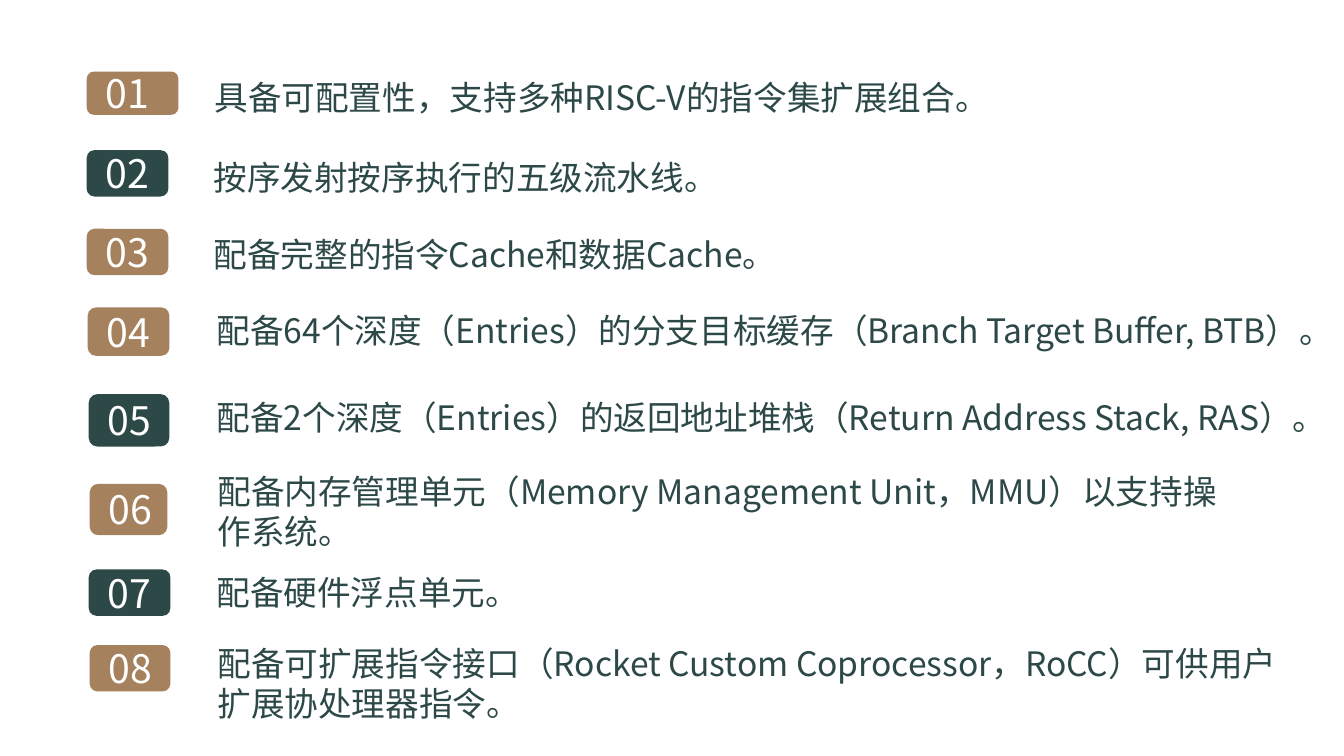
from dataclasses import dataclass

from pptx import Presentation
from pptx.dml.color import RGBColor
from pptx.enum import shapes, text
from pptx.oxml import ns
from pptx.util import Inches, Pt


@dataclass(frozen=True)
class Theme:
    green: RGBColor = RGBColor(0x2C, 0x49, 0x47)
    brown: RGBColor = RGBColor(0xA6, 0x81, 0x5D)
    white: RGBColor = RGBColor(0xFF, 0xFF, 0xFF)
    number_font: str = "Noto Sans CJK TC"
    feature_font: str = "Noto Sans CJK SC"
    number_size: int = 28
    feature_size: int = 24


THEME = Theme()

# Badge box, badge colour, feature box (left, top, width, height), feature text
FEATURES = [
    ((0.86, 0.71, 0.91, 0.43), THEME.brown, (2.03, 0.71, 7.7, 0.5),
     "具备可配置性，支持多种RISC-V的指令集扩展组合。"),
    ((0.86, 1.49, 0.81, 0.46), THEME.green, (2.02, 1.51, 7.67, 0.5),
     "按序发射按序执行的五级流水线。"),
    ((0.86, 2.27, 0.81, 0.46), THEME.brown, (2.02, 2.27, 7.85, 0.5),
     "配备完整的指令Cache和数据Cache。"),
    ((0.87, 3.05, 0.81, 0.48), THEME.brown, (2.05, 3.03, 11.13, 0.5),
     "配备64个深度（Entries）的分支目标缓存（Branch Target Buffer, BTB）。"),
    ((0.88, 3.91, 0.8, 0.52), THEME.green, (2.05, 3.89, 11.13, 0.5),
     "配备2个深度（Entries）的返回地址堆栈（Return Address Stack, RAS）。"),
    ((0.89, 4.8, 0.77, 0.51), THEME.brown, (2.06, 4.62, 10.3, 0.91),
     "配备内存管理单元（Memory Management Unit，MMU）以支持操作系统。"),
    ((0.88, 5.65, 0.81, 0.46), THEME.green, (2.05, 5.62, 7.84, 0.5),
     "配备硬件浮点单元。"),
    ((0.89, 6.4, 0.8, 0.46), THEME.brown, (2.06, 6.33, 10.83, 0.91),
     "配备可扩展指令接口（Rocket Custom Coprocessor，RoCC）可供用户扩展协处理器指令。"),
]


def add_label(row, box, wording, font_name, size, color):
    label = row.shapes.add_textbox(*map(Inches, box))
    frame = label.text_frame
    frame.word_wrap = True
    frame.auto_size = text.MSO_AUTO_SIZE.SHAPE_TO_FIT_TEXT
    paragraph = frame.paragraphs[0]
    paragraph.text = wording
    font = paragraph.font
    font.size, font.name = Pt(size), font_name
    font.color.rgb = color
    # East Asian glyphs use the same typeface
    defaults = paragraph._p.find(".//" + ns.qn("a:defRPr"))
    east_asian = defaults.makeelement(ns.qn("a:ea"), {"typeface": font_name})
    defaults.find(ns.qn("a:latin")).addnext(east_asian)


def add_badge(row, box, color, number):
    left, top, _, height = box
    badge = row.shapes.add_shape(
        shapes.MSO_SHAPE.ROUNDED_RECTANGLE, *map(Inches, box))
    badge.shadow.inherit = False
    badge.fill.solid()
    badge.fill.fore_color.rgb = color
    badge.line.fill.background()
    # Number centred vertically on its badge
    number_height = 0.57
    number_box = (left + 0.09, top + (height - number_height) / 2,
                  0.72, number_height)
    add_label(row, number_box, f"{number:02d}", THEME.number_font,
              THEME.number_size, THEME.white)


def add_feature_list(slide):
    for number, (badge_box, color, feature_box, feature) in enumerate(FEATURES, 1):
        row = slide.shapes.add_group_shape()
        add_badge(row, badge_box, color, number)
        add_label(row, feature_box, feature, THEME.feature_font,
                  THEME.feature_size, THEME.green)


def main():
    deck = Presentation()
    deck.slide_width, deck.slide_height = Inches(13.33), Inches(7.5)
    slide = deck.slides.add_slide(deck.slide_layouts[6])
    add_feature_list(slide)
    deck.save("out.pptx")


if __name__ == "__main__":
    main()
